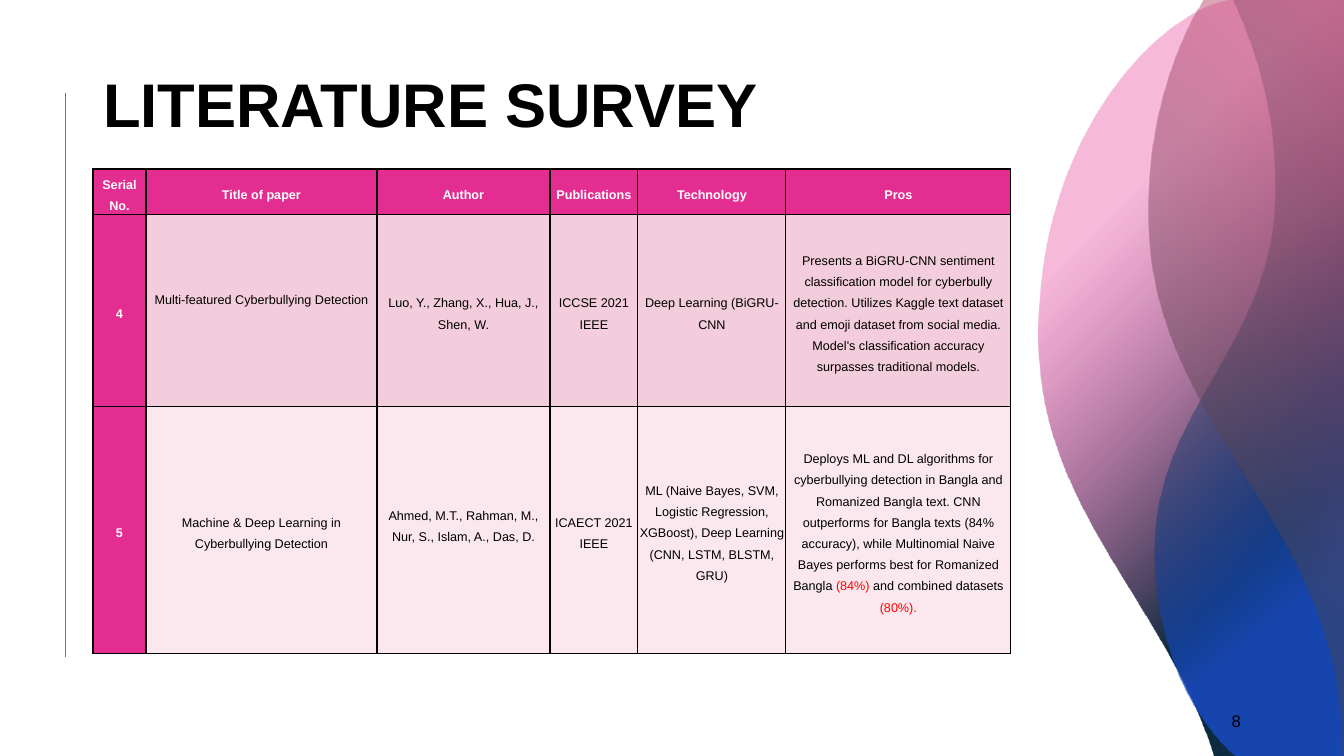
import pptx
import pptx.util
import pptx.oxml
import pptx.oxml.ns
import pptx.dml.color
import pptx.enum.text
import pptx.enum.shapes

RGB = pptx.dml.color.RGBColor
BLACK = RGB(0x00, 0x00, 0x00)
WHITE = RGB(0xFF, 0xFF, 0xFF)
RED = RGB(0xFF, 0x00, 0x00)
PINK = RGB(0xE3, 0x2D, 0x91)
ROSE = RGB(0xD5, 0x47, 0x73)
NAVY = RGB(0x0C, 0x2B, 0x3E)
BLUE = RGB(0x1A, 0x4C, 0xC8)
SLATE = RGB(0x45, 0x45, 0x51)
BANDS = [RGB(0xF4, 0xCD, 0xDC), RGB(0xFA, 0xE8, 0xEE)]

FONT = "Arial"
ALIGN = pptx.enum.text.PP_ALIGN
MIDDLE = pptx.enum.text.MSO_ANCHOR.MIDDLE
SCALE = 914400 / 100.8
SPACE = pptx.oxml.ns.nsdecls("a")

# Content: a cell is a list of paragraphs; a tuple paragraph alternates black and red
TITLE = "LITERATURE SURVEY"
PAGE = "8"
ROWS = [
    [["Serial No."], ["Title of paper"], ["Author"], ["Publications"],
     ["Technology"], ["Pros"]],
    [["4"], ["Multi-featured Cyberbullying Detection"],
     ["Luo, Y., Zhang, X., Hua, J., Shen, W."],
     ["ICCSE 2021", "IEEE"],
     ["Deep Learning (BiGRU-CNN"],
     ["Presents a BiGRU-CNN sentiment classification model for cyberbully "
      "detection. Utilizes Kaggle text dataset and emoji dataset from social "
      "media. Model's classification accuracy surpasses traditional models."]],
    [["5"], ["Machine & Deep Learning in Cyberbullying Detection"],
     ["Ahmed, M.T., Rahman, M., Nur, S., Islam, A., Das, D."],
     ["ICAECT 2021", "IEEE"],
     ["ML (Naive Bayes, SVM, Logistic Regression, XGBoost), Deep Learning "
      "(CNN, LSTM, BLSTM, GRU)"],
     [("Deploys ML and DL algorithms for cyberbullying detection in Bangla and "
       "Romanized Bangla text. CNN outperforms for Bangla texts (84% accuracy), "
       "while Multinomial Naive Bayes performs best for Romanized Bangla ",
       "(84%) ", "and combined datasets ", "(80%).")]],
]
WIDTHS = [53, 231, 173, 88, 148, 225]
HEIGHTS = [39, 192, 247]
TALL = 481
LIFTS = {(1, 1): 21, (2, 2): 14}  # bottom margins that raise the text
SINGLE = (1, 1)  # the cell with single line spacing

# Waves: outline (pairs are corners, sixes are curves), stops, shade
RADIAL = ('<a:path path="circle">'
          '<a:fillToRect l="100000" t="100000" r="0" b="0"/></a:path>')
LINEAR = '<a:lin ang="%d" scaled="0"/>'
WAVES = [
    ([(1230, 0), (1344, 0), (1344, 756), (1214, 756), (1212, 749),
      (1163, 600, 1039, 507, 1039, 337), (1038, 152, 1141, 31, 1215, 4)],
     [(26, NAVY, 100), (73, PINK, 33)], RADIAL),
    ([(1233, 0), (1344, 0), (1344, 756), (1236, 756), (1234, 755),
      (1195, 720, 1155, 648, 1155, 550), (1156, 407, 1273, 346, 1275, 194),
      (1276, 118, 1258, 58, 1238, 12)],
     [(37, NAVY, 28), (79, BLUE, 80)], LINEAR % (50 * 60000)),
    ([(1204, 0), (1344, 0), (1344, 756), (1341, 756), (1341, 743),
      (1337, 518, 1150, 427, 1149, 217), (1148, 137, 1167, 70, 1194, 17)],
     [(32, SLATE, 48), (100, ROSE, 49)], LINEAR % (310 * 60000)),
]


def px(size):
    return pptx.util.Emu(round(size * SCALE))


def style(run, size, tint, bold=False):
    run.font.name = FONT
    run.font.size = pptx.util.Pt(size)
    run.font.bold = bold
    run.font.color.rgb = tint


def bend(props, steps):
    """Turn the straight segments of the curved steps into cubic curves."""
    left = min(step[-2] for step in steps)
    top = min(step[-1] for step in steps)
    lines = list(props.iter(pptx.oxml.ns.qn("a:lnTo")))
    for line, step in zip(lines, steps[1:]):
        if len(step) == 6:
            dots = "".join(f'<a:pt x="{x - left}" y="{y - top}"/>'
                           for x, y in zip(step[::2], step[1::2]))
            line.getparent().replace(line, pptx.oxml.parse_xml(
                f'<a:cubicBezTo {SPACE}>{dots}</a:cubicBezTo>'))


def wave(steps, stops, shade):
    ends = [step[-2:] for step in steps]
    pen = slide.shapes.build_freeform(*ends[0], scale=SCALE)
    pen.add_line_segments(ends[1:], close=True)
    shape = pen.convert_to_shape()
    shape.shadow.inherit = False
    shape.line.fill.background()
    shape.fill.background()
    props = shape.element.spPr
    bend(props, steps)
    marks = "".join(
        f'<a:gs pos="{pos * 1000}"><a:srgbClr val="{tint}">'
        f'<a:alpha val="{alpha * 1000}"/></a:srgbClr></a:gs>'
        for pos, tint, alpha in stops)
    grad = pptx.oxml.parse_xml(
        f'<a:gradFill {SPACE} rotWithShape="1">'
        f'<a:gsLst>{marks}</a:gsLst>{shade}</a:gradFill>')
    props.replace(props.find(pptx.oxml.ns.qn("a:noFill")), grad)


def border(cell):
    props = cell._tc.get_or_add_tcPr()
    for side in "LRTB":
        props.append(pptx.oxml.parse_xml(
            f'<a:ln{side} {SPACE} w="12700"><a:solidFill>'
            f'<a:srgbClr val="{BLACK}"/></a:solidFill></a:ln{side}>'))


def fill(cell, paras, row, col):
    head = row == 0 or col == 0
    border(cell)
    cell.fill.solid()
    cell.fill.fore_color.rgb = PINK if head else BANDS[row - 1]
    cell.vertical_anchor = MIDDLE
    cell.margin_left = cell.margin_right = px(1)
    cell.margin_top = 0
    cell.margin_bottom = px(LIFTS.get((row, col), 0))
    for i, parts in enumerate(paras):
        frame = cell.text_frame
        para = frame.paragraphs[0] if i == 0 else frame.add_paragraph()
        para.alignment = ALIGN.CENTER
        para.line_spacing = 1.0 if (row, col) == SINGLE else 1.5
        for k, part in enumerate([parts] if isinstance(parts, str) else parts):
            run = para.add_run()
            run.text = part
            style(run, 9, WHITE if head else (BLACK, RED)[k % 2], head)


deck = pptx.Presentation()
deck.slide_width, deck.slide_height = px(1344), px(756)
slide = deck.slides.add_slide(deck.slide_layouts[5])

# Side rule
rule = slide.shapes.add_connector(
    pptx.enum.shapes.MSO_CONNECTOR.STRAIGHT, px(65), px(93), px(65), px(657))
rule.line.color.rgb = ROSE
rule.line.width = pptx.util.Pt(0.5)
rule.element.spPr.append(pptx.oxml.parse_xml(f'<a:effectLst {SPACE}/>'))

# Waves
for item in WAVES:
    wave(*item)

# Title
title = slide.shapes.title
title.left, title.top, title.width, title.height = map(px, (93, 52, 979, 111))
title.text_frame.text = TITLE
title.text_frame.vertical_anchor = MIDDLE
line = title.text_frame.paragraphs[0]
line.alignment = ALIGN.LEFT
line.line_spacing = 0.9
style(line.runs[0], 44, BLACK, True)

# Page number
page = slide.shapes.add_textbox(*map(px, (949, 701, 302, 40))).text_frame
page.word_wrap = True
page.vertical_anchor = MIDDLE
page.text = PAGE
page.paragraphs[0].alignment = ALIGN.RIGHT
style(page.paragraphs[0].runs[0], 12, BLACK)

# Table
frame = slide.shapes.add_table(
    len(HEIGHTS), len(WIDTHS), px(93), px(169), px(sum(WIDTHS)), px(TALL))
grid = frame.table
for col, size in zip(grid.columns, WIDTHS):
    col.width = px(size)
for row, size in zip(grid.rows, HEIGHTS):
    row.height = px(size)
frame.height = px(TALL)
for r, cells in enumerate(ROWS):
    for c, paras in enumerate(cells):
        fill(grid.cell(r, c), paras, r, c)

deck.save("out.pptx")
